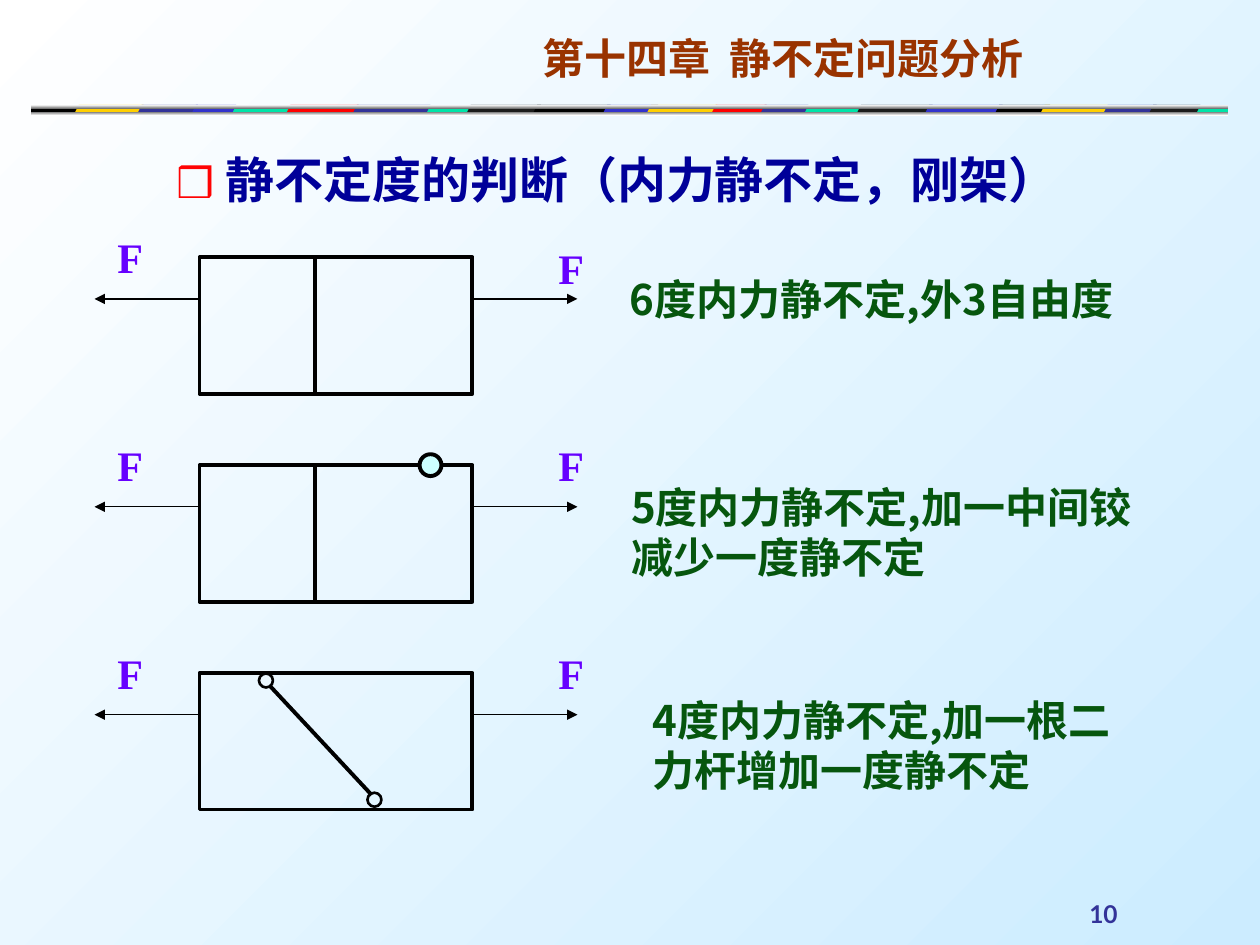
from dataclasses import dataclass

from lxml.etree import SubElement
from pptx import Presentation
from pptx.dml.color import RGBColor as RGB
from pptx.enum.shapes import MSO_CONNECTOR as Connector, MSO_SHAPE as Preset
from pptx.enum.text import MSO_ANCHOR as Anchor, MSO_AUTO_SIZE as AutoSize, PP_ALIGN as Align
from pptx.oxml.ns import qn
from pptx.util import Pt


@dataclass(frozen=True)
class Theme:
    cjk: str = "Noto Sans CJK SC"
    symbol: str = "Arial"
    serif: str = "Times New Roman"
    number: str = "Lato"
    chapter: str = "993300"
    topic: str = "000099"
    mark: str = "FF0303"
    force: str = "6600FF"
    note: str = "06560E"
    page: str = "333399"
    ink: str = "000000"
    hinge: str = "CCFFFF"
    pale: str = "CCECFF"
    white: str = "FFFFFF"
    gray: str = "767676"
    green: str = "00E4A8"
    text_size: float = 24
    topic_size: float = 28
    page_size: float = 14
    frame_line: float = 2.25
    pin_line: float = 1.5
    arrow_line: float = 0.75


@dataclass(frozen=True)
class Band:
    left: float
    right: float
    color: str


@dataclass(frozen=True)
class Case:
    """One loaded frame; offsets are measured from the frame's top left corner."""
    note: str
    note_left: float
    note_top: float
    note_width: float
    bar: tuple
    pins: tuple = ()  # (x, y, diameter, fill, line width)
    right_label_drop: float = 0


THEME = Theme()
FRAME_LEFT, FRAME_TOP, FRAME_STEP = 114, 147, 118.8
FRAME_WIDTH, FRAME_HEIGHT = 156, 78
ARROW_DROP, ARROW_LENGTH, LABEL_SIZE = 23.8, 60, 36
BAND_TOP, BAND_BOTTOM, BAND_SLANT = 60.2, 65.8, 3

BANDS = [
    Band(18, 46, "000000"), Band(42, 82, "FFCF01"), Band(78, 113, "333399"),
    Band(109, 135, "3333CC"), Band(163, 205, "FF0000"), Band(201, 246, "333399"),
    Band(266, 309, "1C1C1C"), Band(304, 349, "000000"), Band(344, 376, "3333CC"),
    Band(369, 410, "FFCF01"), Band(406, 438, "FF0000"), Band(434, 462, "333399"),
    Band(489, 533, "1C1C1C"), Band(528, 573, "3333CC"), Band(568, 600, "000000"),
    Band(594, 633, "FFCF01"), Band(630, 661, "333399"), Band(656, 686, "1C1C1C"),
]

MIDDLE_BAR = (66, 0, 66, FRAME_HEIGHT)
CASES = [
    Case("6度内力静不定,外3自由度", 352.8, 5.6, 329.8, MIDDLE_BAR, right_label_drop=5.8),
    Case("5度内力静不定,加一中间铰减少一度静不定", 353.5, 5.6, 301, MIDDLE_BAR,
         pins=((132, 0, 12.5, THEME.hinge, THEME.frame_line),)),
    Case("4度内力静不定,加一根二力杆增加一度静不定", 365.8, 8.6, 295.2, (40.1, 7.2, 98.4, 69.7),
         pins=((38, 4.3, 8, None, THEME.pin_line), (100, 72.4, 8, None, THEME.pin_line))),
]


def write(box, *runs: tuple, font: str = THEME.cjk, size: float = THEME.text_size,
          align=Align.LEFT, anchor=Anchor.TOP) -> None:
    """Fill a box with one paragraph of (text, colour, format overrides) runs."""
    frame = box.text_frame
    frame.word_wrap = True
    frame.auto_size = AutoSize.NONE
    frame.vertical_anchor = anchor
    frame.margin_left = frame.margin_right = Pt(7.2)
    frame.margin_top = frame.margin_bottom = Pt(3.6)
    paragraph = frame.paragraphs[0]
    props = paragraph._p.get_or_add_pPr()
    props.set("marL", "0")
    props.set("indent", "0")
    SubElement(props, qn("a:buNone"))
    paragraph.alignment = align
    paragraph.space_before = Pt(0)
    for text, color, overrides in runs:
        run = paragraph.add_run()
        run.text = text
        run.font.size = Pt(overrides.get("size", size))
        run.font.bold = overrides.get("bold", True)
        run.font.color.rgb = RGB.from_string(color)
        run.font.name = overrides.get("font", font)
        SubElement(run._r.get_or_add_rPr(), qn("a:ea"), typeface=run.font.name)


def place(box, left: float, top: float, width: float, height: float):
    box.left, box.top, box.width, box.height = Pt(left), Pt(top), Pt(width), Pt(height)
    return box


def text_box(slide, left: float, top: float, width: float, height: float):
    return slide.shapes.add_textbox(Pt(left), Pt(top), Pt(width), Pt(height))


def gradient(fill, start: str, end: str, angle: float) -> None:
    fill.gradient()
    fill.gradient_angle = angle
    for stop, color in zip(fill.gradient_stops, (start, end)):
        stop.color.rgb = RGB.from_string(color)


def polygon(slide, points: list):
    builder = slide.shapes.build_freeform(*points[0], scale=Pt(1))
    builder.add_line_segments(points[1:], close=True)
    shape = builder.convert_to_shape()
    shape.shadow.inherit = False
    shape.line.fill.background()
    return shape


def strip(slide, left: float, right: float, top: float, bottom: float, slant: float = 0):
    return polygon(slide, [(left + slant, top), (right, top), (right - slant, bottom), (left, bottom)])


def outline(slide, preset, left: float, top: float, width: float, height: float,
            weight: float, fill: str | None = None) -> None:
    shape = slide.shapes.add_shape(preset, Pt(left), Pt(top), Pt(width), Pt(height))
    shape.shadow.inherit = False
    shape.line.color.rgb = RGB.from_string(THEME.ink)
    shape.line.width = Pt(weight)
    if fill:
        shape.fill.solid()
        shape.fill.fore_color.rgb = RGB.from_string(fill)
    else:
        shape.fill.background()


def line(slide, x1: float, y1: float, x2: float, y2: float, weight: float, arrow: bool = False) -> None:
    link = slide.shapes.add_connector(Connector.STRAIGHT, Pt(x1), Pt(y1), Pt(x2), Pt(y2))
    link.line.color.rgb = RGB.from_string(THEME.ink)
    link.line.width = Pt(weight)
    if arrow:
        SubElement(link.line._get_or_add_ln(), qn("a:tailEnd"), type="triangle")
    SubElement(link._element.spPr, qn("a:effectLst"))


def draw_divider(slide) -> None:
    bands = [Band(18, 702, THEME.green), *BANDS]
    for band in bands:
        slant = 0 if band.left == 18 else BAND_SLANT
        shape = strip(slide, band.left, band.right, BAND_TOP, BAND_BOTTOM, slant)
        shape.fill.solid()
        shape.fill.fore_color.rgb = RGB.from_string(band.color)
    gradient(strip(slide, 18, 702, 59.9, 62.2).fill, THEME.white, THEME.gray, 270)
    gradient(strip(slide, 18, 702, 64.4, 66).fill, THEME.gray, THEME.white, 270)


def draw_case(slide, case: Case, top: float) -> None:
    # Frame with its inner bar and hinges
    right = FRAME_LEFT + FRAME_WIDTH
    outline(slide, Preset.RECTANGLE, FRAME_LEFT, top, FRAME_WIDTH, FRAME_HEIGHT, THEME.frame_line)
    x1, y1, x2, y2 = case.bar
    line(slide, FRAME_LEFT + x1, top + y1, FRAME_LEFT + x2, top + y2, THEME.frame_line)
    for x, y, size, fill, weight in case.pins:
        outline(slide, Preset.OVAL, FRAME_LEFT + x - size / 2, top + y - size / 2, size, size, weight, fill)
    # Pair of forces
    pull = top + ARROW_DROP
    for start, end in ((right, right + ARROW_LENGTH), (FRAME_LEFT, FRAME_LEFT - ARROW_LENGTH)):
        line(slide, start, pull, end, pull, THEME.arrow_line, arrow=True)
    for left, drop in ((60, 0), (312, case.right_label_drop)):
        label = text_box(slide, left, top - 18 + drop, LABEL_SIZE, LABEL_SIZE)
        write(label, ("F", THEME.force, {}), font=THEME.serif)
    # Verdict
    note = text_box(slide, case.note_left, top + case.note_top, case.note_width, 64.8)
    write(note, (case.note, THEME.note, {}))


def main() -> None:
    deck = Presentation()
    deck.slide_width, deck.slide_height = Pt(720), Pt(540)
    slide = deck.slides.add_slide(deck.slide_layouts[1])
    gradient(slide.background.fill, THEME.pale, THEME.white, 135)

    # Chapter heading and topic
    chapter, topic = slide.placeholders
    write(place(chapter, 303, 15, 340.6, 36), ("第十四章  静不定问题分析", THEME.chapter, {}))
    write(place(topic, 93.6, 82, 555.8, 41),
          ("❒ ", THEME.mark, {"font": THEME.symbol, "size": THEME.text_size}),
          ("静不定度的判断（内力静不定，刚架）", THEME.topic, {}), size=THEME.topic_size)

    draw_divider(slide)
    for row, case in enumerate(CASES):
        draw_case(slide, case, FRAME_TOP + row * FRAME_STEP)

    # Page number
    write(text_box(slide, 496, 498.2, 149.8, 36), ("10", THEME.page, {}),
          font=THEME.number, size=THEME.page_size, align=Align.RIGHT, anchor=Anchor.BOTTOM)
    deck.save("out.pptx")


if __name__ == "__main__":
    main()
